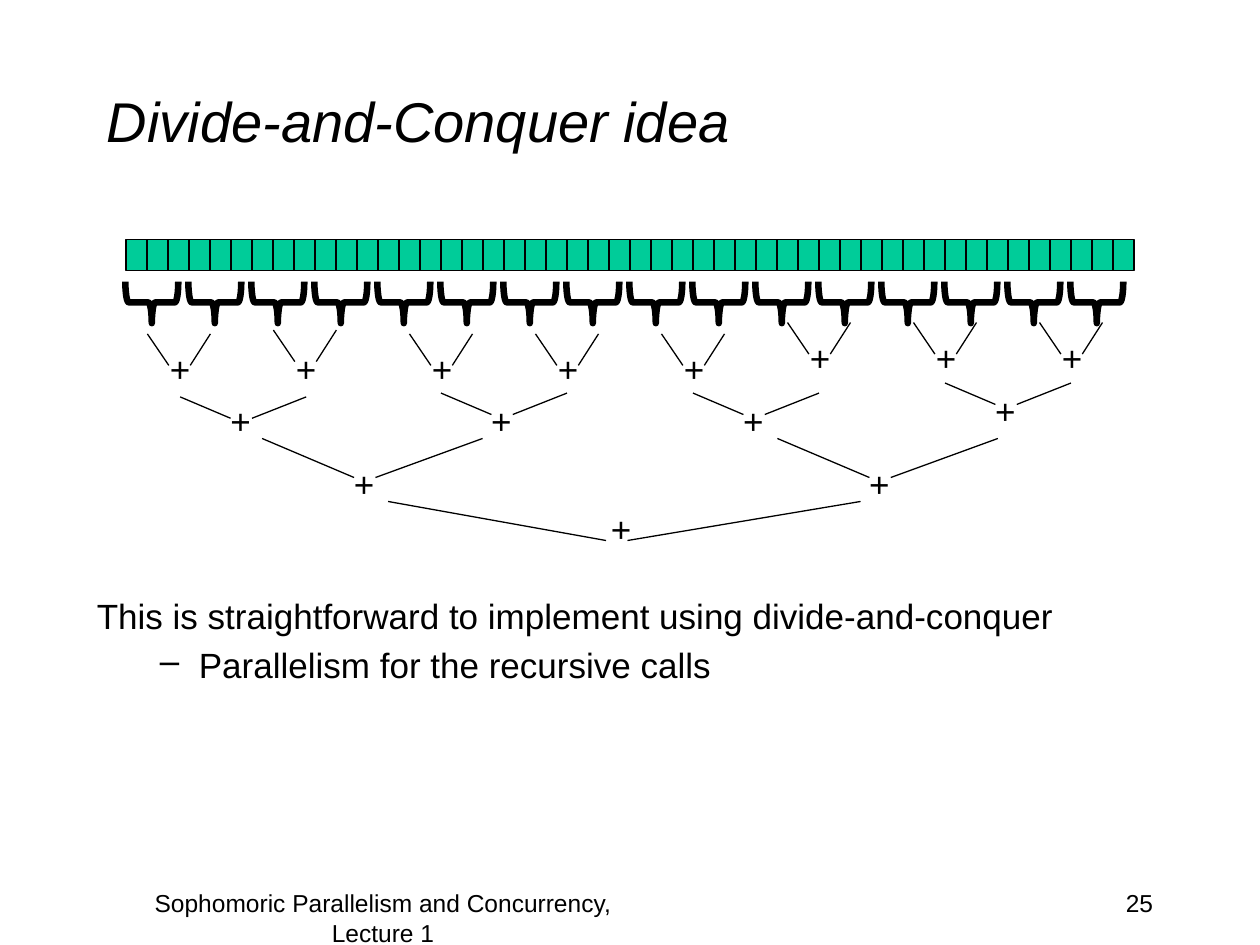
from dataclasses import dataclass

from lxml import etree
from pptx import Presentation
from pptx import util as u
from pptx.dml.color import RGBColor
from pptx.enum import shapes, text
from pptx.oxml import ns


@dataclass(frozen=True)
class Theme:
    font: str = "Arial"
    ink: RGBColor = RGBColor(0x00, 0x00, 0x00)
    cell: RGBColor = RGBColor(0x00, 0xCC, 0x99)
    title_size: int = 32
    body_size: int = 20
    footer_size: int = 14
    thin: float = 0.75
    thick: float = 3.75


THEME = Theme()

# Content
TITLE = "Divide-and-Conquer idea"
BODY = [
    # text, left margin, first-line indent, bullet
    ("This is straightforward to implement using divide-and-conquer", 0.38, -0.38, None),
    ("Parallelism for the recursive calls", 0.81, -0.31, "–"),
]
FOOTER = "Sophomoric Parallelism and Concurrency, Lecture 1"
PAGE_NUMBER = "25"

CELLS, CELL_LEFT, CELL_TOP, CELL_WIDTH, CELL_HEIGHT = 48, 1, 1.9, 1 / 6, 0.25
BRACES, BRACE_LEFT, BRACE_TOP, BRACE_PITCH = 16, 1.04, 2.19, 0.5
BRACE_WIDTH, BRACE_HEIGHT = 0.33, 0.42
BRANCH_GAP = 0.17
PLUS_WIDTH, PLUS_HEIGHT = 0.36, 0.44

# Each level of the sum tree; a node is (left, top of branches, top of plus)
LEVELS = [
    dict(span=0.5, reach=0.17, drop=0.25, plus=0.08, nodes=[
        (1.17, 2.65, 2.71), (2.17, 2.62, 2.71), (3.25, 2.65, 2.71), (4.25, 2.65, 2.71),
        (5.25, 2.65, 2.71), (6.25, 2.56, 2.62), (7.25, 2.56, 2.62), (8.25, 2.56, 2.62)]),
    dict(span=1, reach=0.4, drop=0.17, plus=0.3, nodes=[
        (1.43, 3.15, 3.12), (3.5, 3.12, 3.12), (5.5, 3.12, 3.12), (7.5, 3.04, 3.04)]),
    dict(span=1.75, reach=0.73, drop=0.31, plus=0.63, nodes=[
        (2.08, 3.48, 3.62), (6.17, 3.48, 3.62)]),
    dict(span=3.75, reach=1.73, drop=0.31, plus=1.67, nodes=[(3.08, 3.98, 3.98)]),
]


def inches(*lengths):
    return [u.Inches(length) for length in lengths]


def add_span(para, words, size, italic=False):
    span = para.add_run()
    span.text = words
    span.font.name = THEME.font
    span.font.size = u.Pt(size)
    span.font.color.rgb = THEME.ink
    span.font.italic = italic


def add_box(page, place, wrap=True):
    box = page.shapes.add_textbox(*inches(*place))
    box.text_frame.word_wrap = wrap
    return box


def add_label(page, place, words, size, align=text.PP_ALIGN.LEFT, italic=False, wrap=True):
    box = add_box(page, place, wrap)
    para = box.text_frame.paragraphs[0]
    para.alignment = align
    add_span(para, words, size, italic)
    return box


def add_body(page, place):
    frame = add_box(page, place).text_frame
    for index, (words, margin, indent, bullet) in enumerate(BODY):
        para = frame.add_paragraph() if index else frame.paragraphs[0]
        properties = para._p.get_or_add_pPr()
        properties.set("marL", str(u.Inches(margin)))
        properties.set("indent", str(u.Inches(indent)))
        before = etree.SubElement(properties, ns.qn("a:spcBef"))
        etree.SubElement(before, ns.qn("a:spcPct")).set("val", "20000")
        if bullet:
            etree.SubElement(properties, ns.qn("a:buChar")).set("char", bullet)
        else:
            etree.SubElement(properties, ns.qn("a:buNone"))
        add_span(para, words, THEME.body_size)


def add_outlined(page, kind, place, weight):
    shape = page.shapes.add_shape(kind, *inches(*place))
    shape.shadow.inherit = False
    shape.line.color.rgb = THEME.ink
    shape.line.width = u.Pt(weight)
    return shape


def add_branch(page, start, end):
    branch = page.shapes.add_connector(
        shapes.MSO_CONNECTOR.STRAIGHT, *inches(*start, *end))
    branch.line.color.rgb = THEME.ink
    branch.line.width = u.Pt(THEME.thin)
    etree.SubElement(branch._element.spPr, ns.qn("a:effectLst"))


def add_array(page):
    for index in range(CELLS):
        place = (CELL_LEFT + index * CELL_WIDTH, CELL_TOP, CELL_WIDTH, CELL_HEIGHT)
        cell = add_outlined(page, shapes.MSO_SHAPE.RECTANGLE, place, THEME.thin)
        cell.fill.solid()
        cell.fill.fore_color.rgb = THEME.cell


def add_braces(page):
    for index in range(BRACES):
        place = (BRACE_LEFT + index * BRACE_PITCH, BRACE_TOP, BRACE_WIDTH, BRACE_HEIGHT)
        brace = add_outlined(page, shapes.MSO_SHAPE.LEFT_BRACE, place, THEME.thick)
        brace.fill.background()
        brace.rotation = 270


def add_tree(page):
    for level in LEVELS:
        for left, top, plus_top in level["nodes"]:
            inner, bottom = left + level["reach"], top + level["drop"]
            add_branch(page, (left, top), (inner, bottom))
            add_branch(page, (left + level["span"], top), (inner + BRANCH_GAP, bottom))
            place = (left + level["plus"], plus_top, PLUS_WIDTH, PLUS_HEIGHT)
            plus = add_label(page, place, "+", THEME.body_size, wrap=False)
            plus.text_frame.auto_size = text.MSO_AUTO_SIZE.SHAPE_TO_FIT_TEXT


def main():
    deck = Presentation()
    deck.slide_width, deck.slide_height = inches(10, 7.5)
    page = deck.slides.add_slide(deck.slide_layouts[6])

    # Title, body and footer
    title = add_label(page, (0.75, 0.33, 8.5, 1.25), TITLE, THEME.title_size, italic=True)
    title.text_frame.vertical_anchor = text.MSO_ANCHOR.MIDDLE
    add_body(page, (0.67, 4.67, 8.5, 0.92))
    add_label(page, (7.17, 7, 2.08, 0.5), PAGE_NUMBER, THEME.footer_size, text.PP_ALIGN.RIGHT)
    add_label(page, (0.83, 7, 4.42, 0.5), FOOTER, THEME.footer_size, text.PP_ALIGN.CENTER)

    # Array, its groups and the sum tree
    add_array(page)
    add_braces(page)
    add_tree(page)

    deck.save("out.pptx")


if __name__ == "__main__":
    main()
